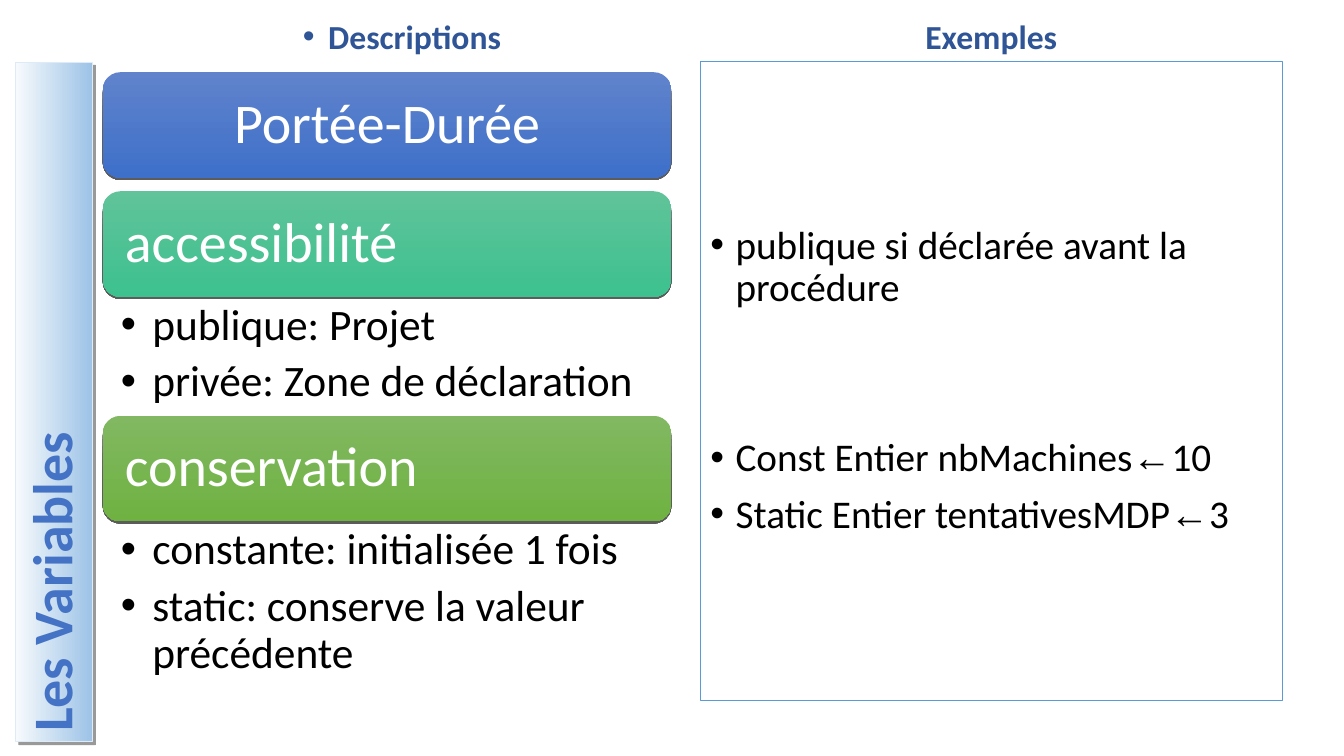
from lxml.etree import SubElement as Sub
from pptx import Presentation
from pptx.dml.color import RGBColor as Rgb
from pptx.enum.shapes import MSO_SHAPE as Kind
from pptx.enum.text import MSO_ANCHOR as Anchor, PP_ALIGN as Align
from pptx.oxml.ns import qn
from pptx.util import Cm, Pt

INK = {
    "black": "000000", "white": "FFFFFF", "navy": "2F5597", "title": "4472C4",
    "edge": "DEEBF7", "frame": "5B9BD5",
    "side": ("F7FAFD", "9DC3E6"), "blue": ("6083CB", "3E70CA"),
    "teal": ("60C39A", "3DC18F"), "green": ("81B861", "6FB242"),
}
HEAD = {"size": Pt(24), "bold": True}
BIG = {"size": Pt(40)}
TITLE = {"size": Pt(40), "bold": True}
LIST = {"size": Pt(31)}
CODE = {"size": Pt(28)}


def put(item, vals):
    for key, val in vals.items():
        setattr(item, key, val)


def lay(box):
    return [Cm(v) for v in box]


def write(frame, lines, font, ink, form, dent=0, **opts):
    put(frame, {"word_wrap": True, **opts})
    for i, line in enumerate(lines):
        para = frame.add_paragraph() if i else frame.paragraphs[0]
        put(para, {"line_spacing": 0.9, "alignment": Align.LEFT, **form})
        for j, part in enumerate(line.split("|")):
            run = para.add_run()
            run.text = part
            put(run.font, {"name": "Arial" if j % 2 else "Calibri", **font})
            run.font.color.rgb = Rgb.from_string(INK[ink])
        if dent:
            mark(para, dent, ink)


def mark(para, dent, ink):
    prop = para._p.get_or_add_pPr()
    prop.set("marL", str(Cm(dent)))
    prop.set("indent", str(-Cm(dent)))
    Sub(Sub(prop, qn("a:buClr")), qn("a:srgbClr"), val=INK[ink])
    Sub(prop, qn("a:buFont"), typeface="Arial")
    Sub(prop, qn("a:buChar"), char="•")


def blend(shape, ink, angle, turn="1"):
    shape.fill.gradient()
    shape.fill.gradient_angle = -angle % 360
    for stop, tone in zip(shape.fill.gradient_stops, INK[ink]):
        stop.color.rgb = Rgb.from_string(tone)
    shape._element.spPr.find(qn("a:gradFill")).set("rotWithShape", turn)


def shade(shape, alpha, dist, angle):
    shape.shadow.inherit = False
    cast = Sub(shape._element.spPr.find(qn("a:effectLst")), qn("a:outerShdw"),
               blurRad="0", dist=str(Pt(dist)), dir=str(angle * 60000),
               algn="ctr", rotWithShape="0")
    tone = Sub(cast, qn("a:srgbClr"), val=INK["black"])
    Sub(tone, qn("a:alpha"), val=str(alpha * 1000))


def edge(shape, ink):
    shape.line.width = Pt(0.74)
    shape.line.color.rgb = Rgb.from_string(INK[ink])


def side(page, box, text):
    x, y, w, h = box
    shape = page.add_shape(
        Kind.RECTANGLE, *lay((x + (w - h) / 2, y + (h - w) / 2, h, w)))
    shape.rotation = 270
    blend(shape, "side", 0, "0")
    edge(shape, "edge")
    shade(shape, 40, 3, 45)
    write(shape.text_frame, [text], TITLE, "title", {},
          vertical_anchor=Anchor.MIDDLE)


def head(page, box, text, dent=0):
    shape = page.add_textbox(*lay(box))
    write(shape.text_frame, [text], HEAD, "navy",
          {"alignment": Align.CENTER, "space_before": Pt(10)}, dent,
          vertical_anchor=Anchor.BOTTOM)


def bar(page, box, text, ink, align):
    shape = page.add_shape(Kind.ROUNDED_RECTANGLE, *lay(box))
    blend(shape, ink, 90)
    shape.line.fill.background()
    shade(shape, 63, 1.5, 90)
    write(shape.text_frame, [text], BIG, "white", {"alignment": align},
          margin_left=Cm(0.43), margin_right=Cm(0.43),
          vertical_anchor=Anchor.MIDDLE)


def stack(page, box, rows, high=2.66, gap=0.34):
    x, y, w, _ = box
    group = page.add_group_shape().shapes
    for text, ink, align, lines, deep in rows:
        bar(group, (x, y, w, high), text, ink, align)
        y += high
        if lines:
            body = group.add_textbox(*lay((x, y, w, deep)))
            write(body.text_frame, lines, LIST, "black",
                  {"space_after": Pt(7)}, 0.79,
                  margin_left=Cm(0.46), margin_right=Cm(0.79),
                  margin_top=Cm(0.15), margin_bottom=Cm(0.15))
            y += deep
        else:
            y += gap


def panel(page, box, lines, split):
    shape = page.add_shape(Kind.RECTANGLE, *lay(box))
    shape.fill.background()
    shape.shadow.inherit = False
    edge(shape, "frame")
    frame = shape.text_frame
    write(frame, lines, CODE, "black", {"space_before": Pt(10)}, 0.64,
          vertical_anchor=Anchor.MIDDLE)
    frame.paragraphs[split].space_before = Pt(91.5)


def main():
    deck = Presentation()
    put(deck, {"slide_width": Cm(33.87), "slide_height": Cm(19.05)})
    page = deck.slides.add_slide(deck.slide_layouts[6]).shapes
    side(page, (0.4, 1.57, 1.93, 17.12), "Les Variables")
    head(page, (2.84, 0.25, 14.58, 1.3), "Descriptions", 0.64)
    stack(page, (2.59, 1.82, 14.33, 15.55), [
        ("Portée-Durée", "blue", Align.CENTER, [], 0),
        ("accessibilité", "teal", Align.LEFT,
         ["publique: Projet", "privée: Zone de déclaration"], 3),
        ("conservation", "green", Align.LEFT,
         ["constante: initialisée 1 fois",
          "static: conserve la valeur précédente"], 4.24),
    ])
    head(page, (17.65, 0.25, 14.66, 1.3), "Exemples")
    panel(page, (17.65, 1.55, 14.66, 16.1), [
        "publique si déclarée avant la procédure",
        "Const Entier nbMachines|←|10",
        "Static Entier tentativesMDP|←|3",
    ], 1)
    deck.save("out.pptx")


main()
